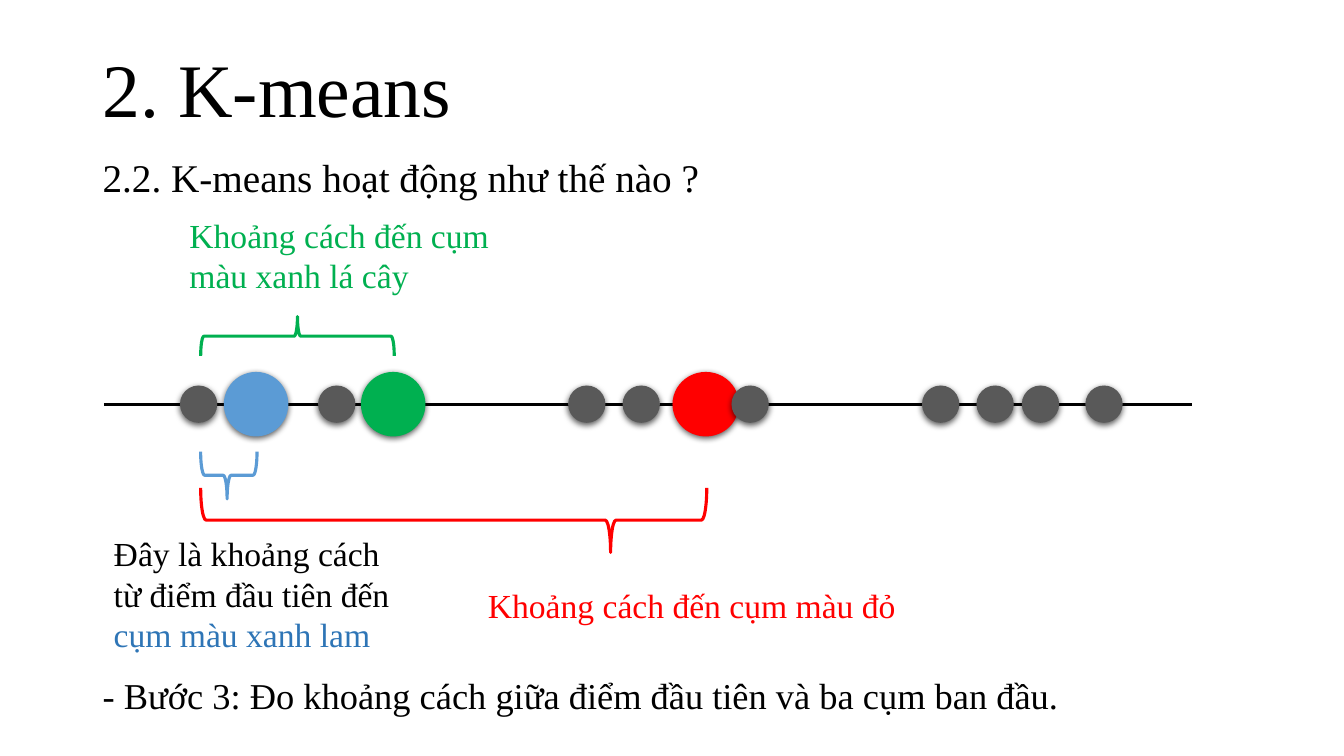
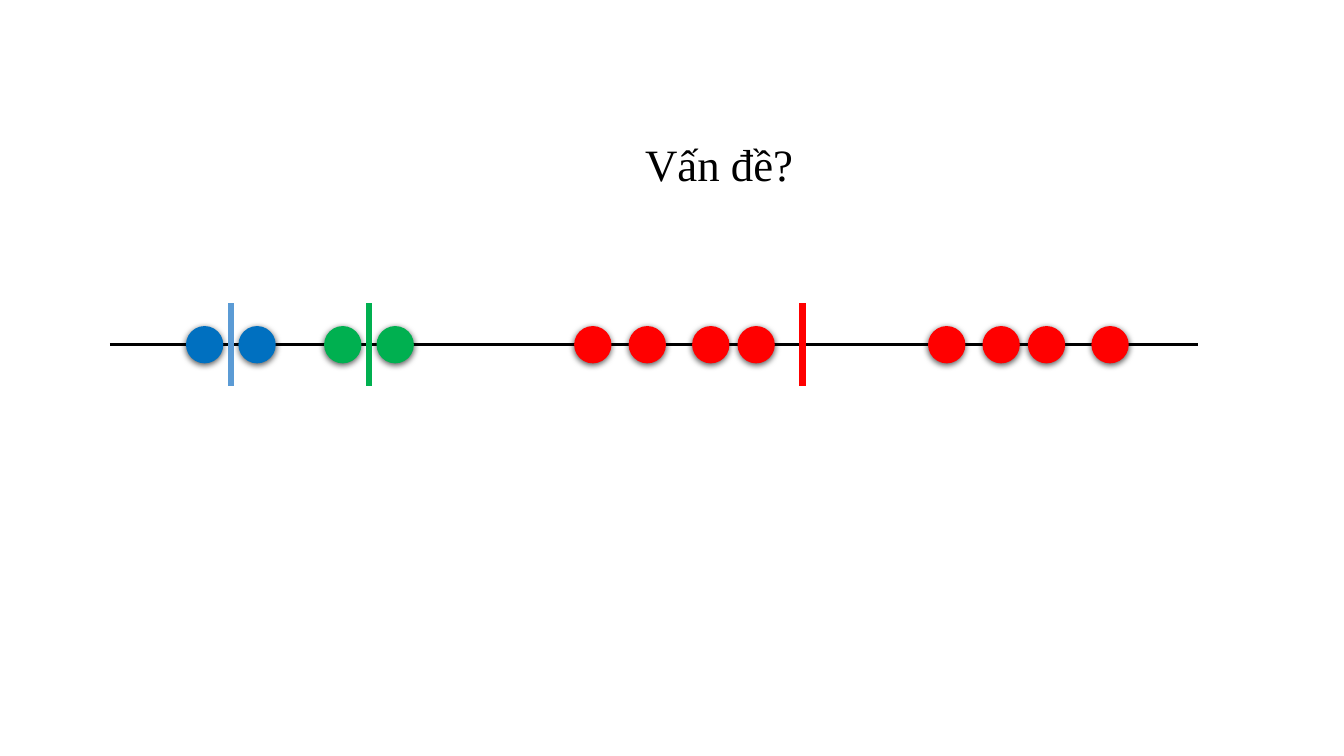
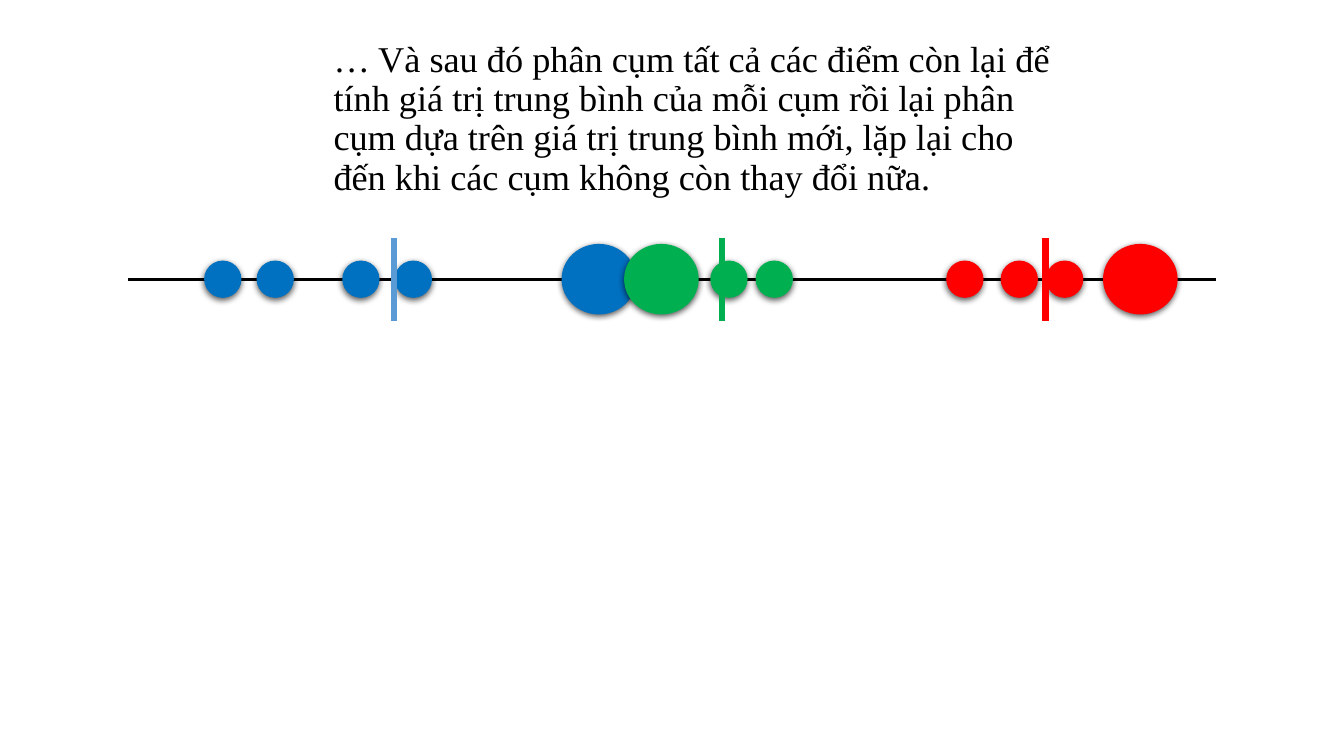
"""Build three slides that explain K-means clustering on a number line."""
from lxml import etree
from pptx import Presentation
from pptx.dml.color import RGBColor
from pptx.enum.shapes import MSO_CONNECTOR, MSO_SHAPE
from pptx.enum.text import MSO_ANCHOR
from pptx.oxml.ns import qn
from pptx.util import Inches, Pt

STRAIGHT = MSO_CONNECTOR.STRAIGHT
DOT = MSO_SHAPE.FLOWCHART_CONNECTOR
BRACE = MSO_SHAPE.RIGHT_BRACE
TOP, MIDDLE = MSO_ANCHOR.TOP, MSO_ANCHOR.MIDDLE

BLACK, GRAY, RED, GREEN = "000000", "595959", "FF0000", "00B050"
BLUE, LIGHT_BLUE, TEXT_BLUE = "0070C0", "5B9BD5", "2E75B6"
FONT = "Times New Roman"

AXIS_LENGTH = 10.79
THIN, THICK = 2.25, 4.5
POINT = (0.37, 0.37)
CENTROID = (0.64, 0.64)
RED_CENTROID = (0.66, 0.64)
LARGE = (0.74, 0.7)
OFFSETS = [0.94, 1.46, 2.31, 2.83, 4.79, 5.33, 5.96, 6.41, 8.3, 8.84, 9.29, 9.92]


def rgb(value):
    return RGBColor.from_string(value)


def points(first, last, color):
    return [(offset, POINT, color) for offset in OFFSETS[first:last]]


class Deck:
    def __init__(self):
        self.presentation = Presentation()
        self.presentation.slide_width = Inches(13.33)
        self.presentation.slide_height = Inches(7.5)
        self.slide = None

    def new_slide(self):
        self.slide = self.presentation.slides.add_slide(self.presentation.slide_layouts[6])

    def text(self, left, top, width, height, size, *runs, spacing=1.0, anchor=TOP):
        box = self.slide.shapes.add_textbox(
            Inches(left), Inches(top), Inches(width), Inches(height))
        frame = box.text_frame
        frame.word_wrap = True
        frame.vertical_anchor = anchor
        paragraph = frame.paragraphs[0]
        paragraph.line_spacing = spacing
        for words, color in runs:
            run = paragraph.add_run()
            run.text = words
            run.font.name = FONT
            run.font.size = Pt(size)
            run.font.color.rgb = rgb(color)

    def line(self, x1, y1, x2, y2, color, weight):
        connector = self.slide.shapes.add_connector(
            STRAIGHT, Inches(x1), Inches(y1), Inches(x2), Inches(y2))
        connector.line.color.rgb = rgb(color)
        connector.line.width = Pt(weight)
        etree.SubElement(connector.element.spPr, qn("a:effectLst"))

    def dot(self, center_x, center_y, size, color):
        width, height = size
        dot = self.slide.shapes.add_shape(
            DOT, Inches(center_x - width / 2), Inches(center_y - height / 2),
            Inches(width), Inches(height))
        dot.fill.solid()
        dot.fill.fore_color.rgb = rgb(color)
        dot.line.fill.background()
        dot.shadow.inherit = False
        effects = dot.element.spPr.find(qn("a:effectLst"))
        shadow = etree.SubElement(
            effects, qn("a:outerShdw"), blurRad=str(Pt(4.5)), dist=str(Pt(1.5)),
            dir="5400000", algn="ctr", rotWithShape="0")
        shade = etree.SubElement(shadow, qn("a:srgbClr"), val=BLACK)
        etree.SubElement(shade, qn("a:alpha"), val="63000")

    def number_line(self, left, y, dots, dividers=()):
        self.line(left, y, left + AXIS_LENGTH, y, BLACK, THIN)
        for offset, size, color in dots:
            self.dot(left + offset, y, size, color)
        for offset, color in dividers:
            self.line(left + offset, y - 0.41, left + offset, y + 0.41, color, THICK)

    def brace(self, left, top, width, height, color, tip=0.5, down=True):
        center_x, center_y = left + width / 2, top + height / 2
        brace = self.slide.shapes.add_shape(
            BRACE, Inches(center_x - height / 2), Inches(center_y - width / 2),
            Inches(height), Inches(width))
        brace.rotation = 270
        brace.adjustments[1] = tip
        if down:
            brace.element.spPr.find(qn("a:xfrm")).set("flipH", "1")
        brace.fill.background()
        brace.line.color.rgb = rgb(color)
        brace.line.width = Pt(THIN)
        brace.shadow.inherit = False


def distance_slide(deck):
    deck.new_slide()
    deck.text(0.92, 0, 11.5, 1.85, 54, ("2. K-means", BLACK), spacing=0.9, anchor=MIDDLE)
    deck.text(0.92, 1.52, 11.5, 5.23, 28,
              ("2.2. K-means hoạt động như thế nào ?", BLACK), spacing=0.9)
    deck.number_line(1.03, 4.01, [
        *points(0, 1, GRAY), (1.51, CENTROID, LIGHT_BLUE),
        *points(2, 3, GRAY), (2.87, CENTROID, GREEN),
        *points(4, 6, GRAY), (5.97, RED_CENTROID, RED),
        *points(7, 12, GRAY)])
    deck.text(0.92, 6.63, 11.39, 0.54, 26,
              ("- Bước 3: Đo khoảng cách giữa điểm đầu tiên và ba cụm ban đầu.", BLACK))
    deck.brace(1.99, 4.48, 0.56, 0.47, LIGHT_BLUE, tip=0.47)
    deck.text(1.03, 5.24, 2.97, 1.52, 24,
              ("Đây là khoảng cách từ điểm đầu tiên đến ", BLACK),
              ("cụm màu xanh lam", TEXT_BLUE))
    deck.brace(1.99, 3.14, 1.92, 0.39, GREEN, down=False)
    deck.text(1.78, 2.08, 3.18, 0.91, 24, ("Khoảng cách đến cụm màu xanh lá cây", GREEN))
    deck.brace(1.99, 4.84, 5.02, 0.64, RED, tip=0.81)
    deck.text(4.74, 5.75, 6.67, 0.5, 24, ("Khoảng cách đến cụm màu đỏ", RED))


def problem_slide(deck):
    deck.new_slide()
    deck.number_line(
        1.09, 3.42,
        points(0, 2, BLUE) + points(2, 4, GREEN) + points(4, 12, RED),
        [(1.2, LIGHT_BLUE), (2.57, GREEN), (6.87, RED)])
    deck.text(6.3, 1.37, 1.77, 0.73, 32, ("Vấn đề?", BLACK), spacing=0.9)


def iteration_slide(deck):
    deck.new_slide()
    deck.text(3.21, 0.36, 7.43, 1.71, 25.9,
              ("… Và sau đó phân cụm tất cả các điểm còn lại để tính giá trị trung bình "
               "của mỗi cụm rồi lại phân cụm dựa trên giá trị trung bình mới, lặp lại "
               "cho đến khi các cụm không còn thay đổi nữa.", BLACK), spacing=0.9)
    deck.number_line(
        1.27, 2.77,
        [*points(0, 4, BLUE), (4.67, LARGE, BLUE), (5.29, LARGE, GREEN),
         *points(6, 8, GREEN), *points(8, 11, RED), (10.04, LARGE, RED)],
        [(2.64, LIGHT_BLUE), (5.89, GREEN), (9.1, RED)])


def main():
    deck = Deck()
    distance_slide(deck)
    problem_slide(deck)
    iteration_slide(deck)
    deck.presentation.save("out.pptx")


if __name__ == "__main__":
    main()
